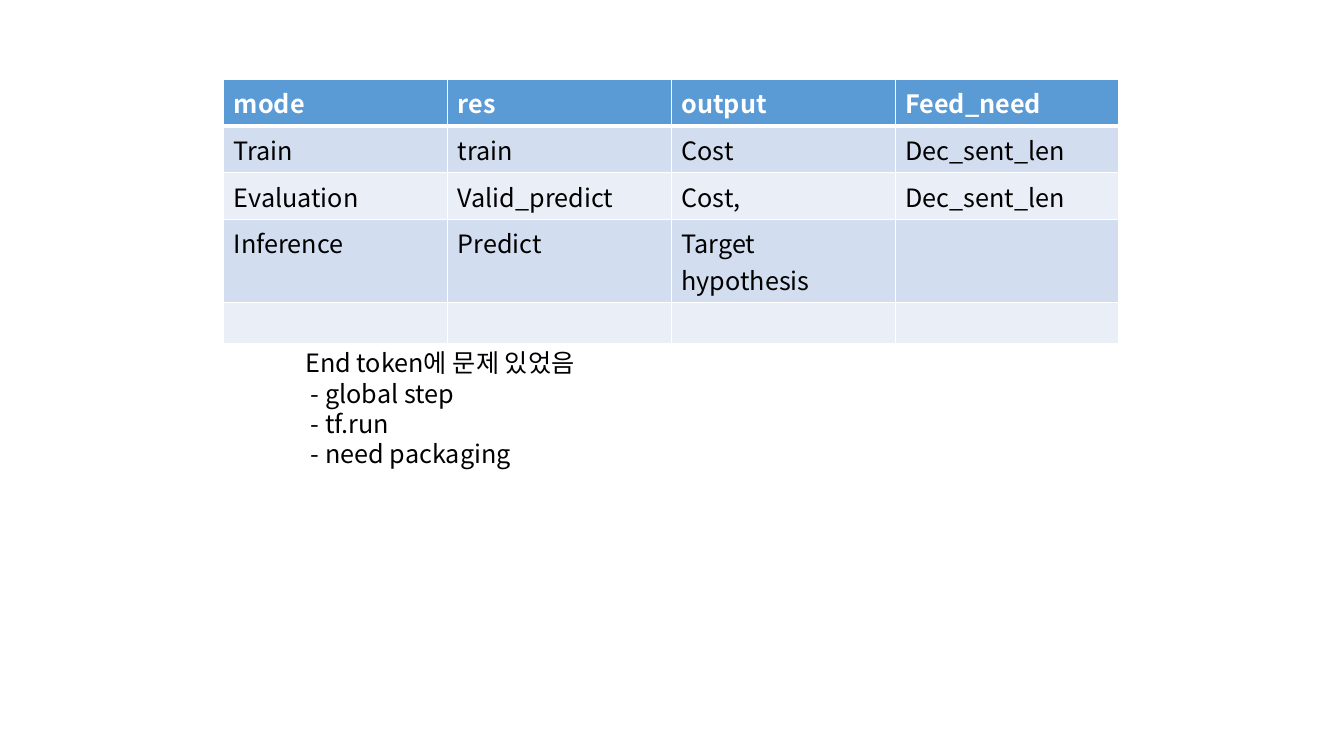
from dataclasses import dataclass

from lxml import etree
from pptx import Presentation
from pptx import util as u
from pptx.dml.color import RGBColor
from pptx.enum import text
from pptx.oxml.ns import qn


@dataclass(frozen=True)
class Theme:
    font: str = "Noto Sans CJK KR"
    size: float = 18
    line_pitch: float = 21.6
    ink: str = "000000"
    white: str = "FFFFFF"
    header: str = "5B9BD5"
    bands: tuple = ("D2DEEF", "EAEFF7")
    rule: float = 1
    header_rule: float = 3


THEME = Theme()

MODES = [
    ["mode", "res", "output", "Feed_need"],
    ["Train", "train", "Cost", "Dec_sent_len"],
    ["Evaluation", "Valid_predict", "Cost, ", "Dec_sent_len"],
    ["Inference", "Predict", "Target hypothesis", ""],
    ["", "", "", ""],
]
NOTES = ["End token에 문제 있었음", " - global step", " - tf.run", " - need packaging"]


def write(p, content, color=THEME.ink, bold=False, pitch=None):
    """Put one formatted run in a paragraph."""
    r = p.add_run()
    r.text = content
    r.font.name = THEME.font
    r.font.size = u.Pt(THEME.size)
    r.font.bold = bold
    r.font.color.rgb = RGBColor.from_string(color)
    etree.SubElement(r.font._element, qn("a:ea"), typeface=THEME.font)
    if pitch:
        p.line_spacing = u.Pt(pitch)


def set_border(cell, side, width):
    """Give one side (L, R, T or B) of a cell a white line."""
    tc_pr = cell._tc.get_or_add_tcPr()
    ln = etree.SubElement(tc_pr, qn(f"a:ln{side}"), w=str(u.Pt(width)))
    fill = etree.SubElement(ln, qn("a:solidFill"))
    etree.SubElement(fill, qn("a:srgbClr"), val=THEME.white)


def add_table(slide, rows, left, top, col_width, row_height):
    n_rows, n_cols = len(rows), len(rows[0])
    table = slide.shapes.add_table(
        n_rows, n_cols, u.Inches(left), u.Inches(top),
        u.Inches(col_width * n_cols), u.Inches(row_height * n_rows)).table
    for i, row in enumerate(rows):
        is_header = i == 0
        color = THEME.white if is_header else THEME.ink
        fill = THEME.header if is_header else THEME.bands[(i - 1) % 2]
        # The heavier rule lies between the header and the first row
        heavy_side = {0: "B", 1: "T"}.get(i)
        for j, content in enumerate(row):
            cell = table.cell(i, j)
            for side in "LRTB":
                set_border(cell, side, THEME.header_rule if side == heavy_side else THEME.rule)
            cell.fill.solid()
            cell.fill.fore_color.rgb = RGBColor.from_string(fill)
            write(cell.text_frame.paragraphs[0], content, color=color, bold=is_header)


def add_notes_box(slide, lines, left, top, width, height):
    sp = slide.shapes.add_textbox(*map(u.Inches, (left, top, width, height)))
    tf = sp.text_frame
    tf.word_wrap = False
    tf.auto_size = text.MSO_AUTO_SIZE.SHAPE_TO_FIT_TEXT
    for i, line in enumerate(lines):
        p = tf.paragraphs[0] if i == 0 else tf.add_paragraph()
        write(p, line, pitch=THEME.line_pitch)


def main():
    prs = Presentation()
    prs.slide_width, prs.slide_height = u.Inches(13.33), u.Inches(7.5)
    slide = prs.slides.add_slide(prs.slide_layouts[6])

    # Table of run modes
    add_table(slide, MODES, left=2.22, top=0.79, col_width=2.22, row_height=0.41)

    # Remarks below the table
    add_notes_box(slide, NOTES, left=2.93, top=3.4, width=3.05, height=1.31)

    prs.save("out.pptx")


main()
